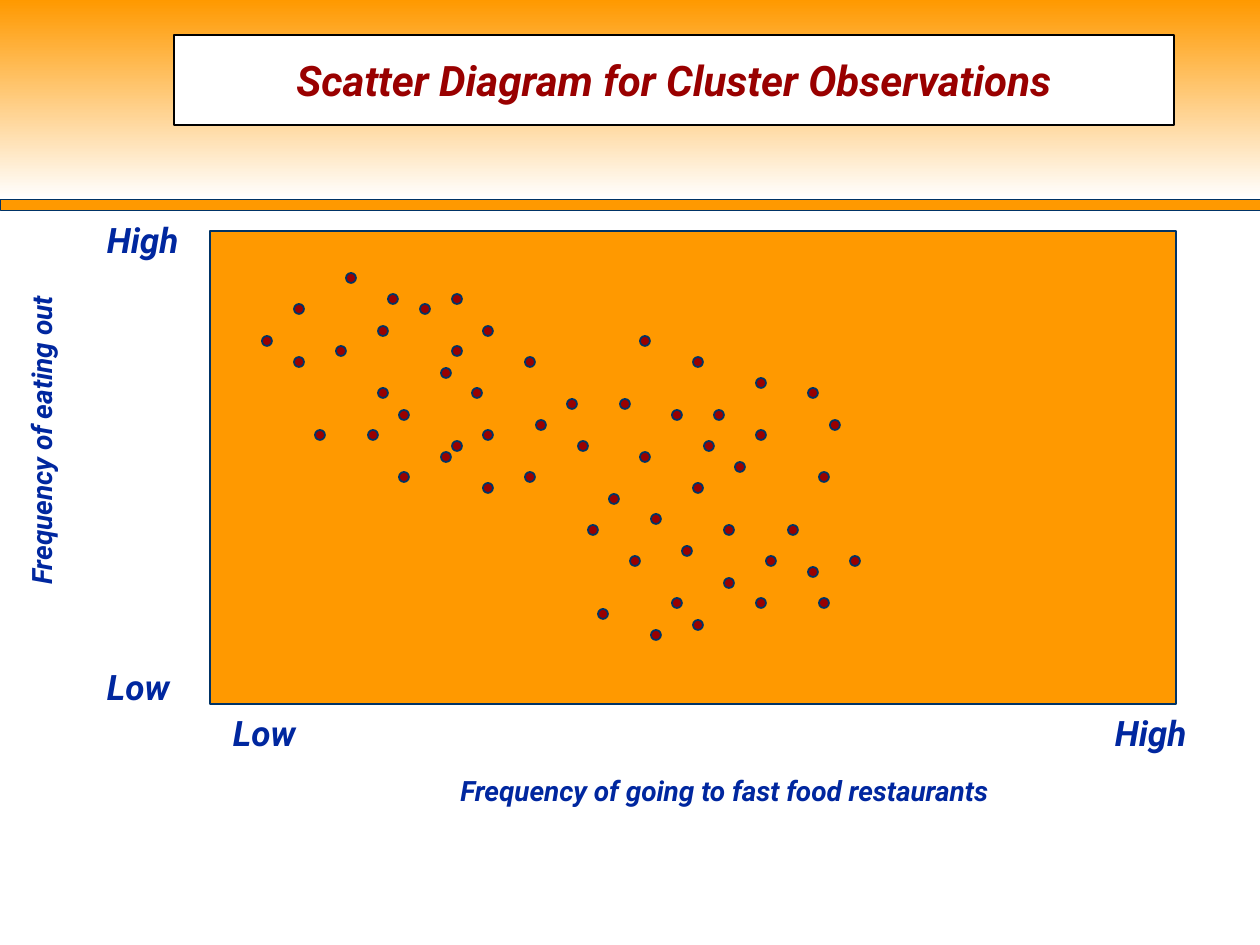
from pptx import Presentation, util as u
from pptx.dml.color import RGBColor
from pptx.enum import shapes, text

ORANGE = RGBColor(0xFF, 0x99, 0x00)
WHITE = RGBColor(0xFF, 0xFF, 0xFF)
BLACK = RGBColor(0x00, 0x00, 0x00)
NAVY = RGBColor(0x00, 0x33, 0x66)
BLUE = RGBColor(0x00, 0x27, 0x9F)
RED = RGBColor(0x99, 0x00, 0x00)

PIXEL = 914400 // 126
WIDTH, HEIGHT = 1260, 945
GRID = 10.5  # one twelfth of an inch, the spacing on which the dots sit
DOT = 10

# Grid row of the observations: their grid columns
OBSERVATIONS = {
    26: [33], 28: [37, 43], 29: [28, 40], 31: [36, 46], 32: [25, 61],
    33: [32, 43], 34: [28, 50, 66], 35: [42], 36: [72], 37: [36, 45, 77],
    38: [54, 59], 39: [38, 64, 68], 40: [51, 79], 41: [30, 35, 46, 72],
    42: [43, 55, 67], 43: [42, 61], 44: [70], 45: [38, 50, 78], 46: [46, 66],
    47: [58], 49: [62], 50: [56, 69, 75], 52: [65], 53: [60, 73, 81],
    54: [77], 55: [69], 57: [64, 72, 78], 58: [57], 59: [66], 60: [62],
}


class SlideBuilder:
    font_name = "Roboto"

    def __init__(self, slide):
        self.slide = slide

    def box(self, left, top, width, height):
        return [u.Emu(value * PIXEL) for value in (left, top, width, height)]

    def shape(self, bounds, fill, line=None, line_width=1,
              kind=shapes.MSO_SHAPE.RECTANGLE):
        shape = self.slide.shapes.add_shape(kind, *self.box(*bounds))
        shape.shadow.inherit = False
        shape.fill.solid()
        shape.fill.fore_color.rgb = fill
        if line is None:
            shape.line.fill.background()
        else:
            shape.line.color.rgb = line
            shape.line.width = u.Pt(line_width)
        return shape

    def gradient(self, bounds, top_color, bottom_color):
        fill = self.shape(bounds, top_color).fill
        fill.gradient()
        fill.gradient_angle = 270
        for stop, color, position in zip(
                fill.gradient_stops, (top_color, bottom_color), (0, 1)):
            stop.color.rgb = color
            stop.position = position

    def set_text(self, shape, words, size, color, align):
        frame = shape.text_frame
        frame.word_wrap = True
        frame.margin_left = frame.margin_right = 0
        frame.margin_top = frame.margin_bottom = 0
        frame.vertical_anchor = text.MSO_ANCHOR.MIDDLE
        paragraph = frame.paragraphs[0]
        paragraph.text = words
        paragraph.alignment = align
        font = paragraph.font
        font.name, font.size = self.font_name, u.Pt(size)
        font.bold = font.italic = True
        font.color.rgb = color

    def label(self, bounds, words, size, align=text.PP_ALIGN.LEFT, rotation=0):
        shape = self.slide.shapes.add_textbox(*self.box(*bounds))
        shape.rotation = rotation
        self.set_text(shape, words, size, BLUE, align)

    def dot(self, column, row):
        bounds = (round(column * GRID), round(row * GRID), DOT, DOT)
        self.shape(bounds, RED, NAVY, 1, shapes.MSO_SHAPE.FLOWCHART_CONNECTOR)


presentation = Presentation()
presentation.slide_width = u.Emu(WIDTH * PIXEL)
presentation.slide_height = u.Emu(HEIGHT * PIXEL)
slide = presentation.slides.add_slide(presentation.slide_layouts[6])
builder = SlideBuilder(slide)
CENTER = text.PP_ALIGN.CENTER

# Header band and rule
builder.shape((0, 199, WIDTH, 11), ORANGE, NAVY, 0.25)
builder.gradient((0, 0, WIDTH, 199), ORANGE, WHITE)

# Title
title = builder.shape((174, 35, 1000, 90), WHITE, BLACK)
builder.set_text(title, "Scatter Diagram for Cluster Observations", 24, RED, CENTER)

# Plot area
builder.shape((210, 231, 966, 473), ORANGE, NAVY, 0.75)

# Ends of the axes
for left, top, words in [(107, 219, "High"), (107, 666, "Low"),
                         (233, 712, "Low"), (1115, 712, "High")]:
    builder.label((left, top, 90, 41), words, 20)

# Axis titles
builder.label((-190, 424, 462, 33), "Frequency of eating out", 16, CENTER, 270)
builder.label((378, 774, 693, 33),
              "Frequency of going to fast food restaurants", 16, CENTER)

# Observations
for row, columns in OBSERVATIONS.items():
    for column in columns:
        builder.dot(column, row)

presentation.save("out.pptx")
